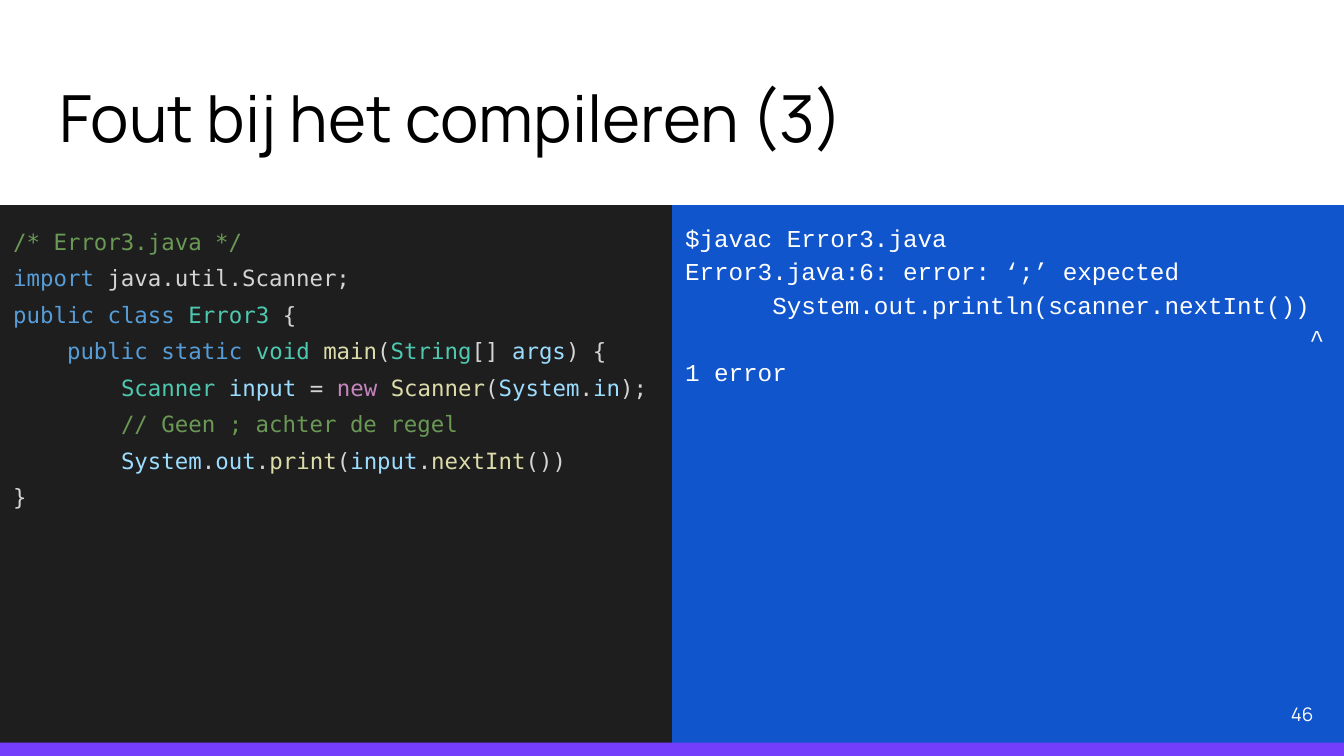
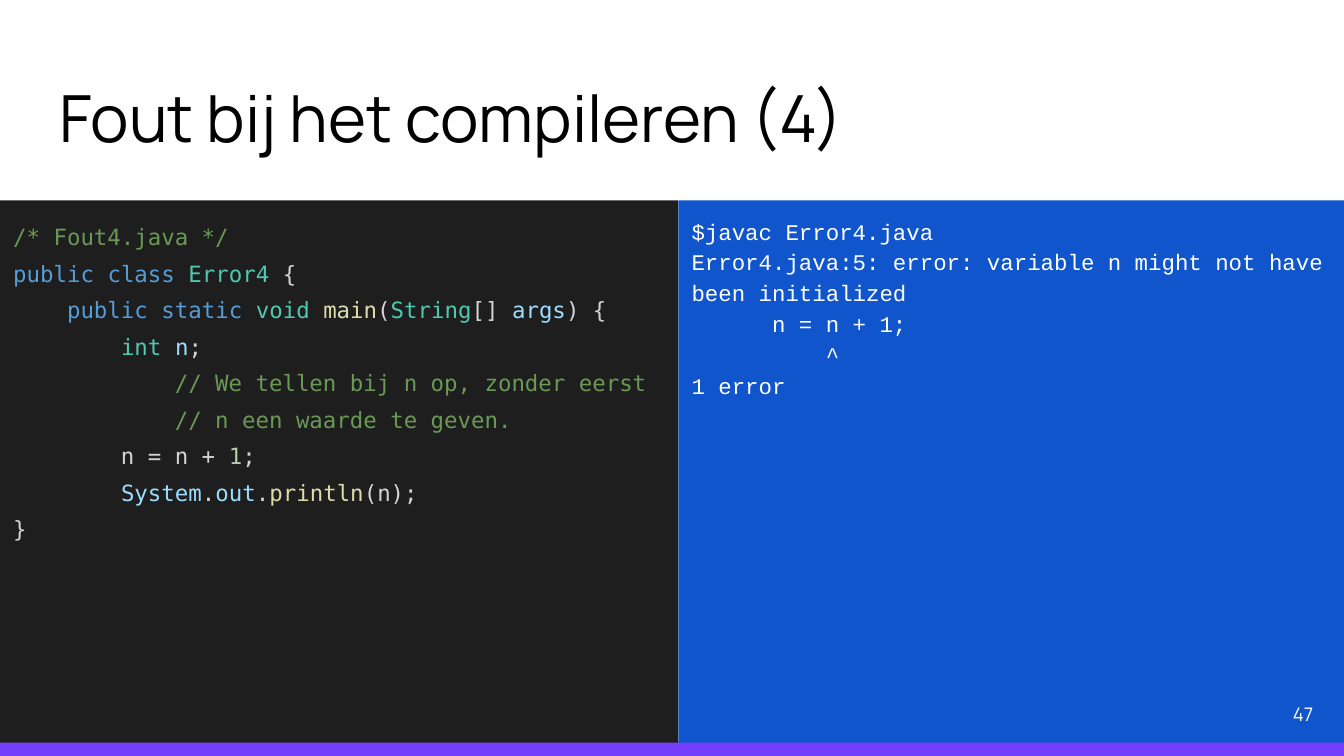
from pptx import Presentation
from pptx.dml.color import RGBColor
from pptx.enum.shapes import MSO_SHAPE
from pptx.enum.text import MSO_ANCHOR, PP_ALIGN
from pptx.util import Cm, Pt

WHITE = RGBColor(0xFF, 0xFF, 0xFF)
BLACK = RGBColor(0x00, 0x00, 0x00)
VIOLET = RGBColor(0x74, 0x3D, 0xFB)
COBALT = RGBColor(0x11, 0x55, 0xCC)
DARK = RGBColor(0x1E, 0x1E, 0x1E)

# Syntax colours
NOTE = RGBColor(0x6A, 0x99, 0x55)
WORD = RGBColor(0x56, 0x9C, 0xD6)
PLAIN = RGBColor(0xD4, 0xD4, 0xD4)
TYPE = RGBColor(0x4E, 0xC9, 0xB0)
CALL = RGBColor(0xDC, 0xDC, 0xAA)
NAME = RGBColor(0x9C, 0xDC, 0xFE)
NEW = RGBColor(0xC5, 0x86, 0xC0)
DIGIT = RGBColor(0xB5, 0xCE, 0xA8)

SANS = "Manrope"
MONO = "DejaVu Sans Mono"
SHELL = "Courier New"

WIDTH, HEIGHT = 25.4, 14.29
FLOOR = 14.04  # lower edge of both panels
INSET = 0.25

TAB = "    "
MAIN = [
    (TAB, PLAIN), ("public", WORD), (" ", PLAIN), ("static", WORD),
    (" ", PLAIN), ("void", TYPE), (" ", PLAIN), ("main", CALL),
    ("(", PLAIN), ("String", TYPE), ("[] ", PLAIN), ("args", NAME),
    (") {", PLAIN),
]
OUT = [
    (TAB * 2, PLAIN), ("System", NAME), (".", PLAIN), ("out", NAME),
    (".", PLAIN),
]
END = [("}", PLAIN)]


def opening(name):
    """Return the coloured line that declares a class."""
    return [("public", WORD), (" ", PLAIN), ("class", WORD), (" ", PLAIN),
            (name, TYPE), (" {", PLAIN)]


class Deck:
    """Holds the shared style and the slide being filled."""

    def __init__(self):
        self.show = Presentation()
        self.show.slide_width = Cm(WIDTH)
        self.show.slide_height = Cm(HEIGHT)
        self.slide = None

    def start(self, title, number):
        self.slide = self.show.slides.add_slide(self.show.slide_layouts[6])
        fill = self.slide.background.fill
        fill.solid()
        fill.fore_color.rgb = WHITE
        self.block(0, 14.02, WIDTH, 0.27, VIOLET)
        self.label(title, 0.87, 0.89, 23.67, 2.3, 34.8, BLACK,
                   MSO_ANCHOR.BOTTOM, PP_ALIGN.LEFT)
        self.number = number

    def finish(self):
        """Put the page number on top of the panels."""
        self.label(str(self.number), 23.55, 12.95, 1.52, 1.09, 10, WHITE,
                   MSO_ANCHOR.MIDDLE, PP_ALIGN.RIGHT)

    def block(self, left, top, width, height, color):
        shape = self.slide.shapes.add_shape(
            MSO_SHAPE.RECTANGLE, Cm(left), Cm(top), Cm(width), Cm(height))
        shape.shadow.inherit = False
        shape.fill.solid()
        shape.fill.fore_color.rgb = color
        shape.line.fill.background()
        return shape

    def frame(self, shape, anchor):
        frame = shape.text_frame
        frame.word_wrap = True
        frame.vertical_anchor = anchor
        frame.margin_left = frame.margin_right = Cm(INSET)
        frame.margin_top = frame.margin_bottom = Cm(INSET)
        return frame

    def run(self, para, text, font, size, color):
        run = para.add_run()
        run.text = text
        run.font.name = font
        run.font.size = Pt(size)
        run.font.color.rgb = color

    def label(self, text, left, top, width, height, size, color, anchor, align):
        box = self.slide.shapes.add_textbox(
            Cm(left), Cm(top), Cm(width), Cm(height))
        para = self.frame(box, anchor).paragraphs[0]
        para.alignment = align
        self.run(para, text, SANS, size, color)

    def shell(self, left, top, size, lines):
        """Fill the right panel with the output of the compiler."""
        panel = self.block(left, top, WIDTH - left, FLOOR - top, COBALT)
        para = self.frame(panel, MSO_ANCHOR.TOP).paragraphs[0]
        para.alignment = PP_ALIGN.LEFT
        para.line_spacing = 1.15
        para.space_after = Pt(12)
        for index, line in enumerate(lines):
            if index:
                para.add_line_break()
            self.run(para, line, SHELL, size, WHITE)

    def code(self, top, width, lines):
        """Fill the left panel with lines of (text, colour) parts."""
        panel = self.block(0, top, width, FLOOR - top, DARK)
        frame = self.frame(panel, MSO_ANCHOR.TOP)
        for index, line in enumerate(lines):
            para = frame.add_paragraph() if index else frame.paragraphs[0]
            para.alignment = PP_ALIGN.LEFT
            para.line_spacing = 1.36
            for text, color in line:
                self.run(para, text, MONO, 12, color)

    def fault(self, title, number, top, split, size, output, source):
        """Build a slide with source code beside its compile error."""
        self.start(title, number)
        self.shell(split, top, size, output)
        self.code(top, split, source)
        self.finish()


def main():
    deck = Deck()
    deck.fault(
        "Fout bij het compileren (3)", 46, 3.88, 12.7, 13,
        [
            "$javac Error3.java",
            "Error3.java:6: error: ‘;’ expected",
            "      System.out.println(scanner.nextInt())",
            "                                           ^",
            "1 error",
        ],
        [
            [("/* Error3.java */", NOTE)],
            [("import", WORD), (" java.util.Scanner;", PLAIN)],
            opening("Error3"),
            MAIN,
            [(TAB * 2, PLAIN), ("Scanner", TYPE), (" ", PLAIN),
             ("input", NAME), (" = ", PLAIN), ("new", NEW), (" ", PLAIN),
             ("Scanner", CALL), ("(", PLAIN), ("System", NAME), (".", PLAIN),
             ("in", NAME), (");", PLAIN)],
            [(TAB * 2, PLAIN), ("// Geen ; achter de regel", NOTE)],
            OUT + [("print", CALL), ("(", PLAIN), ("input", NAME),
                   (".", PLAIN), ("nextInt", CALL), ("())", PLAIN)],
            END,
        ])
    deck.fault(
        "Fout bij het compileren (4)", 47, 3.79, 12.82, 12,
        [
            "$javac Error4.java",
            "Error4.java:5: error: variable n might not have been initialized",
            "      n = n + 1;",
            "          ^",
            "1 error",
        ],
        [
            [("/* Fout4.java */", NOTE)],
            opening("Error4"),
            MAIN,
            [(TAB * 2, PLAIN), ("int", TYPE), (" ", PLAIN), ("n", NAME),
             (";", PLAIN)],
            [(TAB * 3 + "// We tellen bij n op, zonder eerst", NOTE)],
            [(TAB * 3 + "// n een waarde te geven.", NOTE)],
            [(TAB * 2 + "n = n + ", PLAIN), ("1", DIGIT), (";", PLAIN)],
            OUT + [("println", CALL), ("(n);", PLAIN)],
            END,
        ])
    deck.show.save("out.pptx")


if __name__ == "__main__":
    main()
